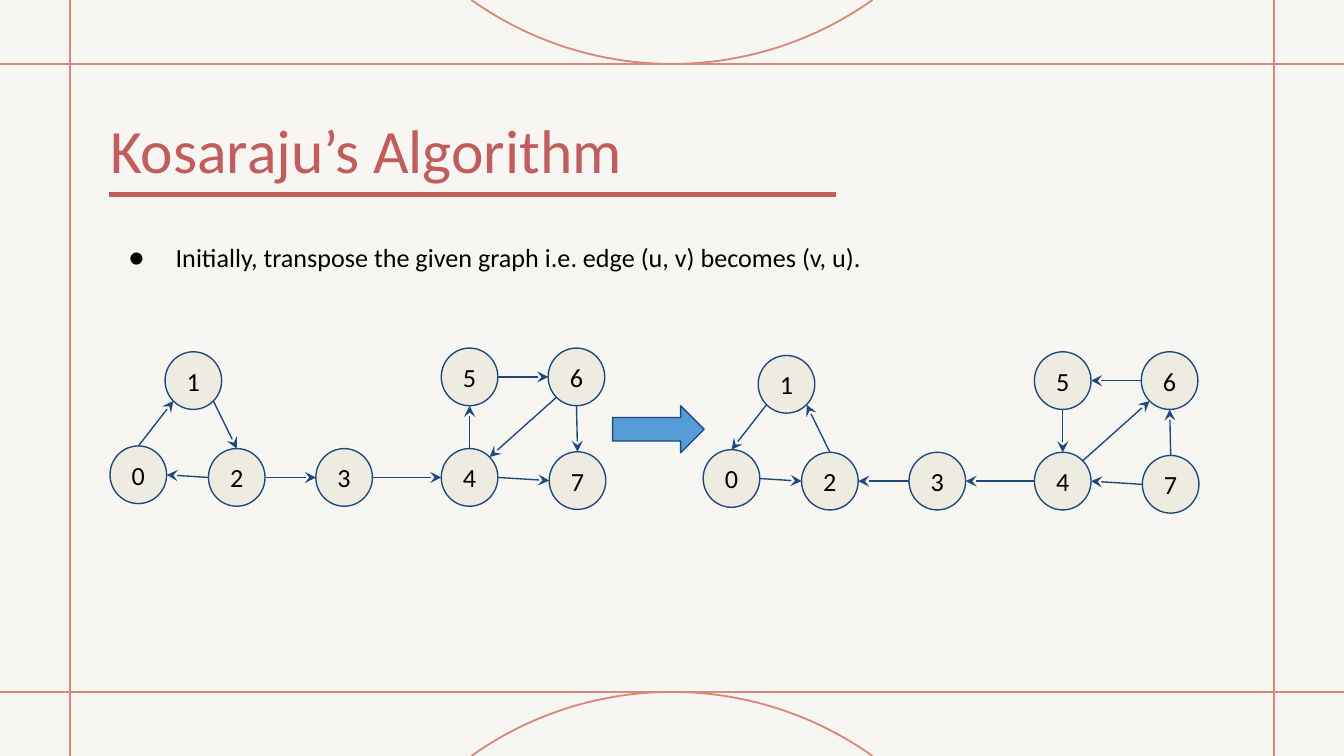
import math
from dataclasses import dataclass

from lxml import etree
from pptx import Presentation
from pptx import util as u
from pptx.dml.color import RGBColor
from pptx.enum import shapes, text
from pptx.oxml.ns import qn

WIDTH, HEIGHT = 25.4, 14.29
NODE_WIDTH, NODE_HEIGHT = 1.07, 1.09

NODES = {
    "0": (2.08, 8.43),
    "1": (3.12, 6.65),
    "2": (3.94, 8.48),
    "3": (5.97, 8.48),
    "4": (8.34, 8.48),
    "5": (8.34, 6.58),
    "6": (10.36, 6.58),
    "7": (10.38, 8.54),
}

# Directions on a node's outline, in degrees clockwise from the right
RIGHT, LOWER_RIGHT, BOTTOM, LOWER_LEFT = 0, 45, 90, 135
LEFT, TOP, UPPER_RIGHT = 180, 270, 315

# Start node and side, end node and side
EDGES = [
    ("0", TOP, "1", LOWER_LEFT),
    ("1", LOWER_RIGHT, "2", TOP),
    ("2", LEFT, "0", RIGHT),
    ("2", RIGHT, "3", LEFT),
    ("3", RIGHT, "4", LEFT),
    ("4", TOP, "5", BOTTOM),
    ("5", RIGHT, "6", LEFT),
    ("6", BOTTOM, "7", TOP),
    ("6", LOWER_LEFT, "4", UPPER_RIGHT),
    ("4", RIGHT, "7", LEFT),
]


@dataclass(frozen=True)
class Theme:
    font: str = "Calibri"
    title_size: int = 33
    text_size: int = 14
    background: str = "F8F6F2"
    frame: str = "D8897E"
    accent: str = "C25D5D"
    node: str = "EEECE1"
    outline: str = "1F497D"
    arrow: str = "569CD6"
    ink: str = "000000"


class SlideBuilder:
    """Holds the theme and the slide being drawn; lengths are centimetres."""

    def __init__(self, slide, theme):
        self.slide = slide
        self.theme = theme
        fill = slide.background.fill
        fill.solid()
        fill.fore_color.rgb = RGBColor.from_string(theme.background)

    def set_line(self, line, color, width):
        line.color.rgb = RGBColor.from_string(color)
        line.width = u.Pt(width)

    def set_font(self, paragraph, size, color):
        paragraph.font.name = self.theme.font
        paragraph.font.size = u.Pt(size)
        paragraph.font.color.rgb = RGBColor.from_string(color)

    def line(self, start, end, color, width, arrow=False):
        connector = self.slide.shapes.add_connector(
            shapes.MSO_CONNECTOR.STRAIGHT, *map(u.Cm, (*start, *end)))
        self.set_line(connector.line, color, width)
        if arrow:
            etree.SubElement(connector.line._get_or_add_ln(),
                             qn("a:tailEnd"), type="stealth")
        etree.SubElement(connector._element.spPr, qn("a:effectLst"))

    def arc(self, edge_y, direction):
        """Draw the arc touching edge_y that curves up (-1) or down (1) off the slide."""
        radius, depth = 6.54, 1.21
        half_angle = math.acos(1 - depth / radius)
        steps = 60
        points = []
        for step in range(steps + 1):
            angle = half_angle * (2 * step / steps - 1)
            x = WIDTH / 2 + radius * math.sin(angle)
            y = edge_y + direction * radius * (1 - math.cos(angle))
            points.append((u.Cm(x), u.Cm(y)))
        builder = self.slide.shapes.build_freeform(*points[0])
        builder.add_line_segments(points[1:], close=False)
        shape = builder.convert_to_shape()
        shape.shadow.inherit = False
        shape.fill.background()
        self.set_line(shape.line, self.theme.frame, 1)

    def shape(self, kind, box, fill):
        shape = self.slide.shapes.add_shape(kind, *map(u.Cm, box))
        shape.shadow.inherit = False
        shape.fill.solid()
        shape.fill.fore_color.rgb = RGBColor.from_string(fill)
        self.set_line(shape.line, self.theme.outline, 0.75)
        return shape

    def set_margins(self, frame, margin):
        frame.margin_left = frame.margin_right = u.Cm(margin)
        frame.margin_top = frame.margin_bottom = u.Cm(margin)

    def node(self, label, left, top):
        shape = self.shape(shapes.MSO_SHAPE.OVAL,
                           (left, top, NODE_WIDTH, NODE_HEIGHT), self.theme.node)
        frame = shape.text_frame
        self.set_margins(frame, 0.25)
        frame.vertical_anchor = text.MSO_ANCHOR.MIDDLE
        paragraph = frame.paragraphs[0]
        paragraph.text = label
        paragraph.alignment = text.PP_ALIGN.CENTER
        self.set_font(paragraph, self.theme.text_size, self.theme.ink)

    def graph(self, dx=0, dy=0, transposed=False):
        places = {label: (x + dx, y + dy) for label, (x, y) in NODES.items()}
        for label, place in places.items():
            self.node(label, *place)

        def outline_point(label, degrees):
            left, top = places[label]
            angle = math.radians(degrees)
            return (left + NODE_WIDTH / 2 * (1 + math.cos(angle)),
                    top + NODE_HEIGHT / 2 * (1 + math.sin(angle)))

        for source, source_side, target, target_side in EDGES:
            ends = [outline_point(source, source_side),
                    outline_point(target, target_side)]
            if transposed:
                ends.reverse()
            self.line(*ends, self.theme.outline, 0.75, arrow=True)

    def placeholder(self, shape, box, content, margin):
        shape.left, shape.top, shape.width, shape.height = map(u.Cm, box)
        frame = shape.text_frame
        frame.word_wrap = True
        frame.auto_size = text.MSO_AUTO_SIZE.NONE
        frame.vertical_anchor = text.MSO_ANCHOR.TOP
        self.set_margins(frame, margin)
        paragraph = frame.paragraphs[0]
        paragraph.text = content
        paragraph.alignment = text.PP_ALIGN.LEFT
        paragraph.space_before = u.Pt(0)
        return paragraph

    def title(self, content, box):
        paragraph = self.placeholder(self.slide.shapes.title, box, content, 0)
        self.set_font(paragraph, self.theme.title_size, self.theme.accent)

    def bullet(self, content, box):
        paragraph = self.placeholder(self.slide.placeholders[1], box, content, 0.25)
        properties = paragraph._p.get_or_add_pPr()
        properties.set("marL", str(u.Cm(1.27)))
        properties.set("indent", str(u.Cm(-0.89)))
        color = etree.SubElement(properties, qn("a:buClr"))
        etree.SubElement(color, qn("a:srgbClr"), val=self.theme.ink)
        etree.SubElement(properties, qn("a:buFont"), typeface=self.theme.font)
        etree.SubElement(properties, qn("a:buChar"), char="●")
        self.set_font(paragraph, self.theme.text_size, self.theme.ink)


def main():
    presentation = Presentation()
    presentation.slide_width = u.Cm(WIDTH)
    presentation.slide_height = u.Cm(HEIGHT)
    theme = Theme()
    builder = SlideBuilder(
        presentation.slides.add_slide(presentation.slide_layouts[1]), theme)

    top_edge, bottom_edge = 1.21, 13.08
    for y in (top_edge, bottom_edge):
        builder.line((0, y), (WIDTH, y), theme.frame, 1)
    for x in (1.32, 24.08):
        builder.line((x, 0), (x, HEIGHT), theme.frame, 1)
    builder.arc(top_edge, -1)
    builder.arc(bottom_edge, 1)

    builder.title("Kosaraju’s Algorithm", (2.08, 2.11, 11.73, 1.42))
    builder.line((2.06, 3.68), (15.8, 3.68), theme.accent, 3)
    builder.bullet(
        "Initially, transpose the given graph i.e. edge (u, v) becomes (v, u).",
        (1.8, 4.32, 14.83, 1.12))

    builder.graph()
    builder.graph(dx=11.21, dy=0.07, transposed=True)
    builder.shape(shapes.MSO_SHAPE.RIGHT_ARROW, (11.58, 7.67, 1.73, 0.89), theme.arrow)

    presentation.save("out.pptx")


if __name__ == "__main__":
    main()
